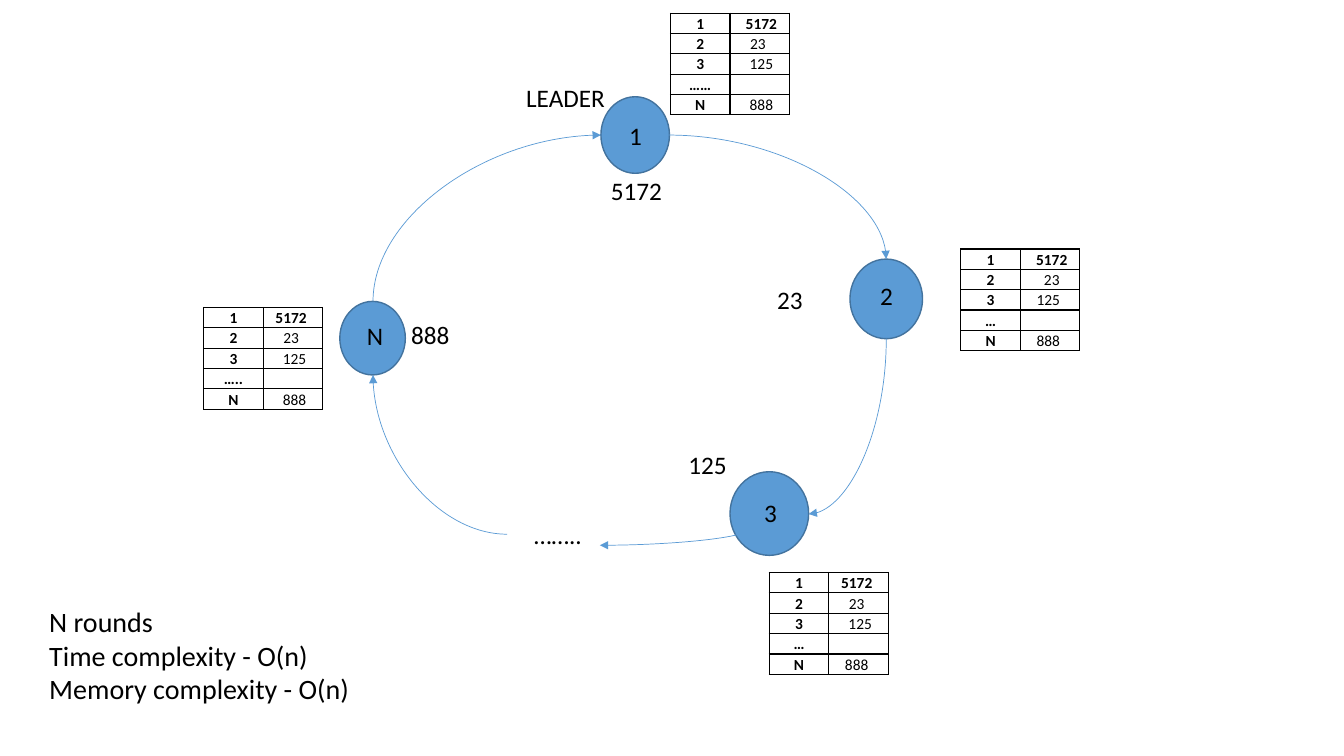
from lxml.etree import SubElement
from pptx import Presentation
from pptx.dml.color import RGBColor
from pptx.enum.shapes import MSO_CONNECTOR, MSO_SHAPE
from pptx.enum.text import MSO_ANCHOR, MSO_AUTO_SIZE, PP_ALIGN
from pptx.oxml.ns import qn
from pptx.util import Inches, Pt

BLUE = RGBColor(0x5B, 0x9B, 0xD5)
DARK_BLUE = RGBColor(0x43, 0x73, 0x9E)
BLACK = RGBColor(0, 0, 0)


def style(p, size, bold=False):
    p.font.name = "Calibri"
    p.font.size = Pt(size)
    p.font.bold = bold
    p.font.color.rgb = BLACK


def add_border(cell):
    tcPr = cell._tc.get_or_add_tcPr()
    for side in ("a:lnL", "a:lnR", "a:lnT", "a:lnB"):
        ln = SubElement(tcPr, qn(side), w=str(Pt(1)))
        fill = SubElement(ln, qn("a:solidFill"))
        SubElement(fill, qn("a:srgbClr"), val=str(BLACK))


prs = Presentation()
prs.slide_width = Inches(13.33)
prs.slide_height = Inches(7.5)
s = prs.slides.add_slide(prs.slide_layouts[6])

nodes = [
    (5.96, 0.96, 0.68, 0.76),
    (8.43, 2.57, 0.72, 0.79),
    (7.24, 4.68, 0.78, 0.83),
    (3.37, 2.99, 0.65, 0.73),
]
for box in nodes:
    sp = s.shapes.add_shape(MSO_SHAPE.OVAL, *map(Inches, box))
    sp.shadow.inherit = False
    sp.fill.solid()
    sp.fill.fore_color.rgb = BLUE
    sp.line.color.rgb = DARK_BLUE
    sp.line.width = Pt(1)

arrows = [
    ("curvedConnector2", 6.63, 1.34, 8.79, 2.57, False),
    ("curvedConnector2", 8.79, 3.36, 8.02, 5.1, True),
    ("curvedConnector3", 7.43, 5.08, 5.95, 5.41, False),
    ("curvedConnector2", 5.03, 5.3, 3.7, 3.72, False),
    ("curvedConnector2", 3.7, 2.99, 5.96, 1.34, True),
]
for preset, x1, y1, x2, y2, turned in arrows:
    if turned:
        cx, cy = (x1 + x2) / 2, (y1 + y2) / 2
        w, h = y2 - y1, x1 - x2
        x1, y1, x2, y2 = cx - w / 2, cy - h / 2, cx + w / 2, cy + h / 2
    c = s.shapes.add_connector(MSO_CONNECTOR.CURVE, *map(Inches, (x1, y1, x2, y2)))
    c.line.color.rgb = BLUE
    c.line.width = Pt(0.5)
    spPr = c._element.spPr
    if turned:
        spPr.find(qn("a:xfrm")).set("rot", str(90 * 60000))
    geom = spPr.find(qn("a:prstGeom"))
    geom.set("prst", preset)
    if preset == "curvedConnector3":
        SubElement(geom.find(qn("a:avLst")), qn("a:gd"), name="adj1", fmla="val -400")
    SubElement(spPr.find(qn("a:ln")), qn("a:tailEnd"), type="triangle")
    SubElement(spPr, qn("a:effectLst"))

tables = [
    (9.53, 2.47, "…", (" 5172", " 23", "125 ", "", "888 ")),
    (7.63, 5.68, "…", ("5172 ", "23 ", " 125", "", "888 ")),
    (6.65, 0.13, "……", (" 5172", "23 ", " 125", "", " 888")),
    (2.02, 3.05, "…..", ("5172 ", "23 ", " 125", "", " 888")),
]
for left, top, dots, values in tables:
    frame = s.shapes.add_table(5, 2, Inches(left), Inches(top), Inches(1.18), Inches(0.98))
    tbl = frame.table
    tbl.first_row = False
    tbl.horz_banding = False
    for i, row in enumerate(zip(("1", "2", "3", dots, "N"), values)):
        for j, text in enumerate(row):
            cell = tbl.cell(i, j)
            cell.margin_left = cell.margin_right = Inches(0.07)
            cell.margin_top = cell.margin_bottom = 0
            cell.vertical_anchor = MSO_ANCHOR.MIDDLE
            add_border(cell)
            cell.fill.background()
            p = cell.text_frame.paragraphs[0]
            p.text = text
            p.alignment = PP_ALIGN.CENTER
            p.line_spacing = 1.07
            style(p, 11, bold=i == 0 or j == 0)

labels = [
    (6.14, 1.14, 0.31, 0.4, 18, "1"),
    (8.63, 2.73, 0.31, 0.4, 18, "2"),
    (7.48, 4.88, 0.31, 0.4, 18, "3"),
    (3.54, 3.13, 0.31, 0.4, 18, "N"),
    (5.2, 5.1, 1.09, 0.4, 18, "…….."),
    (5.96, 1.69, 1.01, 0.4, 18, "5172"),
    (7.61, 2.77, 1.01, 0.4, 18, "23"),
    (6.73, 4.41, 1.01, 0.4, 18, "125"),
    (3.98, 3.12, 1.01, 0.4, 18, "888"),
    (5.12, 0.77, 1.09, 0.4, 18, "LEADER"),
    (0.39, 5.95, 3.97, 1.41, 20,
     "N rounds\nTime complexity - O(n)\nMemory complexity - O(n)"),
]
for *box, size, text in labels:
    tf = s.shapes.add_textbox(*map(Inches, box)).text_frame
    tf.word_wrap = True
    tf.auto_size = MSO_AUTO_SIZE.SHAPE_TO_FIT_TEXT
    tf.text = text
    for p in tf.paragraphs:
        style(p, size)

prs.save("out.pptx")
